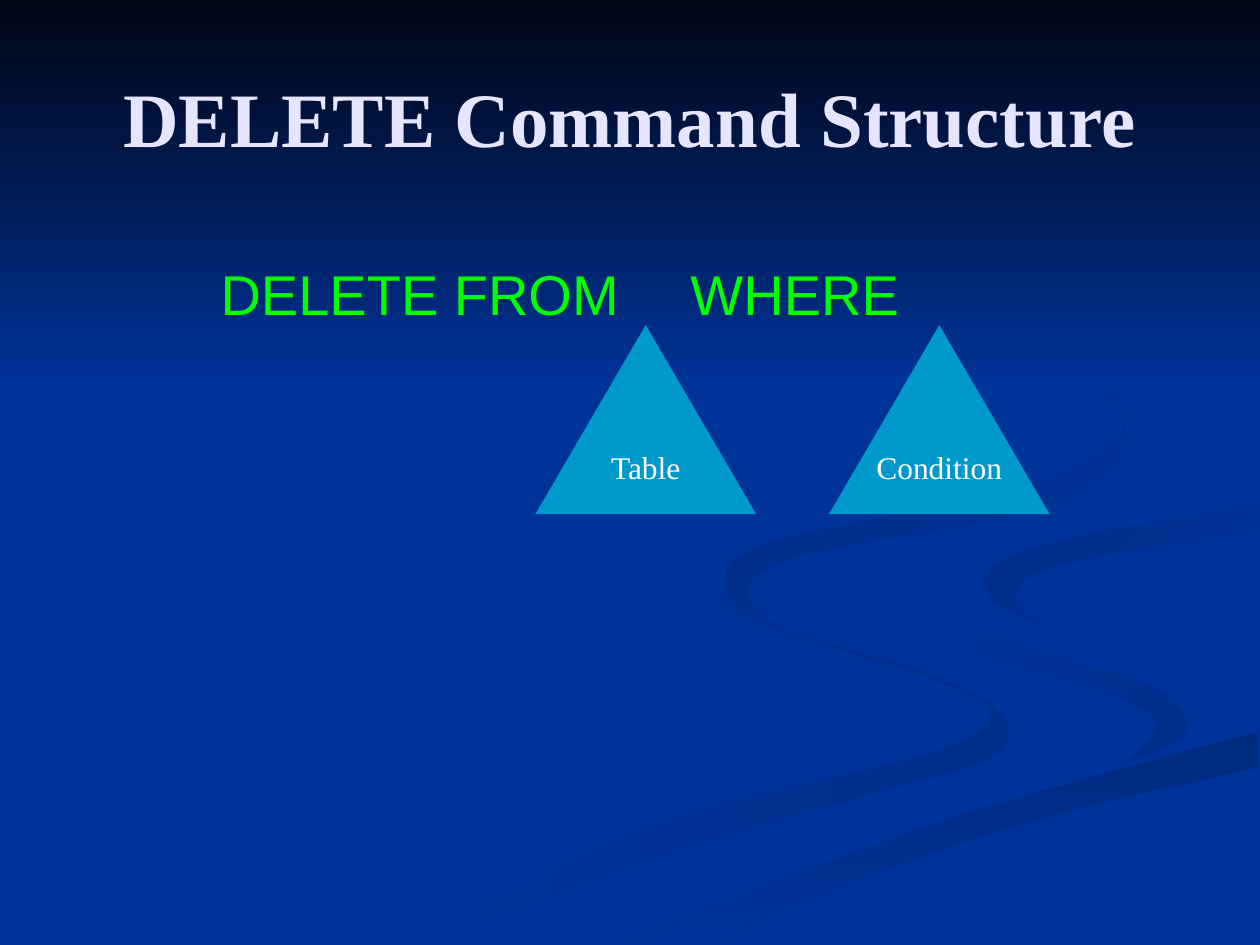
"""Build the DELETE command structure slide."""
import pptx
import pptx.dml.color
import pptx.enum.shapes
import pptx.enum.text
import pptx.util

Inches = pptx.util.Inches
Shapes = pptx.enum.shapes.MSO_SHAPE
Align = pptx.enum.text.PP_ALIGN
Anchor = pptx.enum.text.MSO_ANCHOR

COLORS = {
    "blue": "003399", "night": "000514", "title": "E5E5FF", "keyword": "00FF00",
    "triangle": "0099CC", "label": "FFFFFF", "shade": "002E8B",
    "deep": "002A7D", "mid": "002D86", "dusk": "002B82",
}
TITLE = "DELETE Command Structure"
KEYWORDS = [("DELETE FROM", 1.75, 2.85), ("WHERE", 5.48, 1.22)]
OPERANDS = [("Table", 4.25), ("Condition", 6.58)]
STEPS = 6
RIBBONS = [
    (("blue", "shade"), 0,
     [(5.75, 4.59), (5.81, 4.83), (6.31, 5.05), (7.41, 5.39), (7.86, 5.66),
      (7.39, 5.98), (5.39, 6.49), (3, 7.49)],
     [(3.61, 7.49), (4.99, 6.87), (6.99, 6.28), (7.86, 6.01), (7.95, 5.67),
      (7.31, 5.33), (6.14, 4.96), (5.75, 4.59)]),
    (("blue", "shade"), 45,
     [(7.24, 4.64), (7.45, 4.9), (8.3, 5.19), (9.19, 5.47), (9.41, 5.81), (8.94, 6.05)],
     [(8.94, 6.05), (9.17, 5.76), (8.8, 5.49), (7.81, 5.18), (7.24, 4.64)]),
    (("deep", "blue"), 90,
     [(5.03, 7.49), (5.69, 7.19), (7.64, 6.47), (9.98, 5.81)],
     [(9.98, 6.09), (8.21, 6.51), (6.49, 7.1), (5.71, 7.49)]),
    (("mid", "blue"), 45,
     [(9.98, 4.02), (8.65, 4.24), (7.91, 4.47), (7.86, 4.74), (8.26, 4.96)],
     [(8.26, 4.96), (8.05, 4.72), (8.43, 4.48), (9.98, 4.2)]),
    (("dusk", "blue"), 45,
     [(7.62, 2.33), (8.54, 2.83), (8.93, 3.35), (8.67, 3.84), (7.86, 4.12),
      (6.24, 4.44), (5.94, 4.75), (6.22, 5)],
     [(6.22, 5), (5.78, 4.68), (6.05, 4.33), (7.91, 3.92), (8.76, 3.6),
      (8.82, 3.13), (7.62, 2.33)]),
]


def color(name):
    return pptx.dml.color.RGBColor.from_string(COLORS[name])


def smooth(knots):
    """Return a Catmull-Rom curve through the knots."""
    padded = [knots[0], *knots, knots[-1]]
    curve = [knots[0]]
    for a, b, c, d in zip(padded, padded[1:], padded[2:], padded[3:]):
        for step in range(1, STEPS + 1):
            t = step / STEPS
            curve.append(tuple(
                q + t * ((r - p) + t * ((2 * p - 5 * q + 4 * r - s)
                                        + t * (3 * q - p - 3 * r + s))) / 2
                for p, q, r, s in zip(a, b, c, d)))
    return curve


def paint(shape, names, angle=0):
    shape.shadow.inherit = False
    shape.line.fill.background()
    if len(names) == 1:
        shape.fill.solid()
        shape.fill.fore_color.rgb = color(names[0])
        return
    shape.fill.gradient()
    shape.fill.gradient_angle = -angle % 360
    for stop, name in zip(shape.fill.gradient_stops, names):
        stop.color.rgb = color(name)


def write(shape, text, *, size, tint, font="Times New Roman", bold=False,
          align=Align.CENTER, anchor=Anchor.MIDDLE, wrap=False, insets=(0.1, 0.05)):
    frame = shape.text_frame
    frame.word_wrap = wrap
    frame.auto_size = pptx.enum.text.MSO_AUTO_SIZE.NONE
    frame.vertical_anchor = anchor
    frame.margin_left = frame.margin_right = Inches(insets[0])
    frame.margin_top = frame.margin_bottom = Inches(insets[1])
    para = frame.paragraphs[0]
    para.alignment = align
    span = para.add_run()
    span.text = text
    span.font.name = font
    span.font.size = pptx.util.Pt(size)
    span.font.bold = bold
    span.font.color.rgb = color(tint)


def add_backdrop(page, width):
    page.background.fill.solid()
    page.background.fill.fore_color.rgb = color("blue")
    for names, angle, *edges in RIBBONS:
        points = [(Inches(x), Inches(y)) for edge in edges for x, y in smooth(edge)]
        outline = page.shapes.build_freeform(*points[0])
        outline.add_line_segments(points[1:], close=True)
        paint(outline.convert_to_shape(), names, angle)
    band = page.shapes.add_shape(Shapes.RECTANGLE, 0, 0, width, Inches(3.08))
    paint(band, ("night", "blue"), 90)


def main():
    deck = pptx.Presentation()
    deck.slide_width, deck.slide_height = Inches(10), Inches(7.5)
    page = deck.slides.add_slide(deck.slide_layouts[5])
    add_backdrop(page, deck.slide_width)

    title = page.shapes.title
    title.element.getparent().append(title.element)
    title.left, title.top = Inches(0.5), Inches(0.3)
    title.width, title.height = Inches(9), Inches(1.25)
    write(title, TITLE, size=44, tint="title", bold=True, wrap=True)

    for text, left, width in KEYWORDS:
        box = page.shapes.add_textbox(Inches(left), Inches(2.01), Inches(width), Inches(0.37))
        write(box, text, size=32, tint="keyword", font="Arial", align=Align.LEFT,
              anchor=Anchor.TOP, insets=(0, 0.05))

    for text, left in OPERANDS:
        triangle = page.shapes.add_shape(
            Shapes.ISOSCELES_TRIANGLE, Inches(left), Inches(2.58), Inches(1.75), Inches(1.5))
        paint(triangle, ["triangle"])
        write(triangle, text, size=18, tint="label")

    deck.save("out.pptx")


if __name__ == "__main__":
    main()
